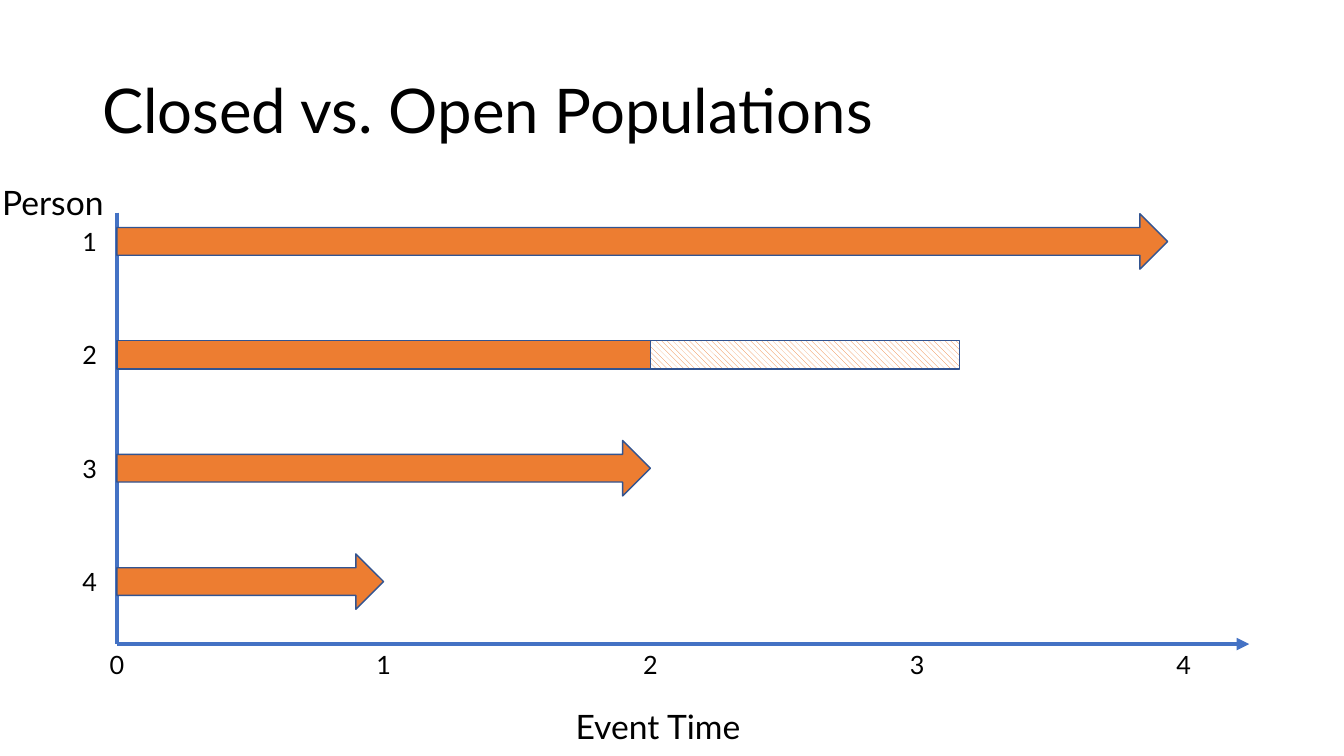
from dataclasses import dataclass

import pptx
import pptx.util
import pptx.dml.color
import pptx.enum.dml
import pptx.enum.shapes
import pptx.enum.text
import pptx.oxml
import pptx.oxml.ns

TITLE = "Closed vs. Open Populations"
ROW_HEADING = "Person"
AXIS_TITLE = "Event Time"
TICKS = [0, 1, 2, 3, 4]
# person, list of (start time, end time, kind of bar)
PEOPLE = [
    ("1", [(0, 3.94, "arrow")]),
    ("2", [(0, 2, "bar"), (2, 3.16, "hatched")]),
    ("3", [(0, 2, "arrow")]),
    ("4", [(0, 1, "arrow")]),
]


@dataclass(frozen=True)
class Theme:
    font: str = "Lato"
    ink: str = "000000"
    axis: str = "4472C4"
    bar: str = "ED7D31"
    outline: str = "325491"
    paper: str = "FFFFFF"
    title_size: int = 44
    heading_size: int = 24
    label_size: int = 18
    axis_width: int = 3
    outline_width: int = 1


THEME = Theme()
WIDTH, HEIGHT = 13.33, 7.5
ORIGIN_X, AXIS_Y = 1.16, 6.39
AXIS_TOP, AXIS_END = 2.11, 12.39
TIME_STEP = 2.645
FIRST_ROW, ROW_STEP = 2.395, 1.125
ARROW_HEIGHT, BAR_HEIGHT = 0.55, 0.28
LABEL_WIDTH, LABEL_HEIGHT = 0.34, 0.4
PERSON_X = 0.89


def inches(value):
    return pptx.util.Inches(value)


def color(code):
    return pptx.dml.color.RGBColor.from_string(code)


def time_x(time):
    return ORIGIN_X + time * TIME_STEP


def add_text(page, text, *, center, size, points, align="CENTER", wrap=False, spacing=1.0):
    """Place a line of text in a box given by its centre and size in inches."""
    (x, y), (width, height) = center, size
    box = page.shapes.add_textbox(inches(x - width / 2), inches(y - height / 2),
                                  inches(width), inches(height))
    frame = box.text_frame
    frame.word_wrap = wrap
    frame.vertical_anchor = pptx.enum.text.MSO_ANCHOR.MIDDLE
    para = frame.paragraphs[0]
    para.alignment = pptx.enum.text.PP_ALIGN[align]
    para.line_spacing = spacing
    span = para.add_run()
    span.text = text
    span.font.name = THEME.font
    span.font.size = pptx.util.Pt(points)
    span.font.color.rgb = color(THEME.ink)


def add_axis(page, start, end, arrow=False):
    axis = page.shapes.add_connector(pptx.enum.shapes.MSO_CONNECTOR.STRAIGHT,
                                     *map(inches, start + end))
    axis.line.color.rgb = color(THEME.axis)
    axis.line.width = pptx.util.Pt(THEME.axis_width)
    if arrow:
        line = axis.line._get_or_add_ln()
        head = pptx.oxml.parse_xml(
            f'<a:tailEnd {pptx.oxml.ns.nsdecls("a")} type="triangle"/>')
        line.append(head)
    properties = axis._element.spPr
    properties.append(pptx.oxml.parse_xml(f'<a:effectLst {pptx.oxml.ns.nsdecls("a")}/>'))


def add_period(page, start, end, middle, kind):
    """Draw one person's time from start to end as an arrow or a bar."""
    presets = pptx.enum.shapes.MSO_SHAPE
    preset = presets.RIGHT_ARROW if kind == "arrow" else presets.RECTANGLE
    height = ARROW_HEIGHT if kind == "arrow" else BAR_HEIGHT
    period = page.shapes.add_shape(
        preset, inches(time_x(start)), inches(middle - height / 2),
        inches((end - start) * TIME_STEP), inches(height))
    period.shadow.inherit = False
    if kind == "hatched":
        period.fill.patterned()
        period.fill.pattern = pptx.enum.dml.MSO_PATTERN.WIDE_DOWNWARD_DIAGONAL
        period.fill.fore_color.rgb = color(THEME.bar)
        period.fill.back_color.rgb = color(THEME.paper)
    else:
        period.fill.solid()
        period.fill.fore_color.rgb = color(THEME.bar)
    period.line.color.rgb = color(THEME.outline)
    period.line.width = pptx.util.Pt(THEME.outline_width)


def main():
    deck = pptx.Presentation()
    deck.slide_width, deck.slide_height = inches(WIDTH), inches(HEIGHT)
    page = deck.slides.add_slide(deck.slide_layouts[6])

    add_axis(page, (ORIGIN_X, AXIS_TOP), (ORIGIN_X, AXIS_Y))
    add_axis(page, (ORIGIN_X, AXIS_Y), (AXIS_END, AXIS_Y), arrow=True)

    add_text(page, TITLE, center=(WIDTH / 2, 1.125), size=(11.5, 1.45),
             points=THEME.title_size, align="LEFT", wrap=True, spacing=0.9)
    add_text(page, ROW_HEADING, center=(0.525, 2), size=(1.23, 0.5),
             points=THEME.heading_size)
    add_text(page, AXIS_TITLE, center=(6.525, 7.2), size=(1.89, 0.5),
             points=THEME.heading_size)

    label = {"size": (LABEL_WIDTH, LABEL_HEIGHT), "points": THEME.label_size}
    for tick in TICKS:
        add_text(page, str(tick), center=(time_x(tick), AXIS_Y + LABEL_HEIGHT / 2), **label)

    for row, (person, periods) in enumerate(PEOPLE):
        middle = FIRST_ROW + row * ROW_STEP
        add_text(page, person, center=(PERSON_X, middle), **label)
        for start, end, kind in periods:
            add_period(page, start, end, middle, kind)

    deck.save("out.pptx")


if __name__ == "__main__":
    main()
